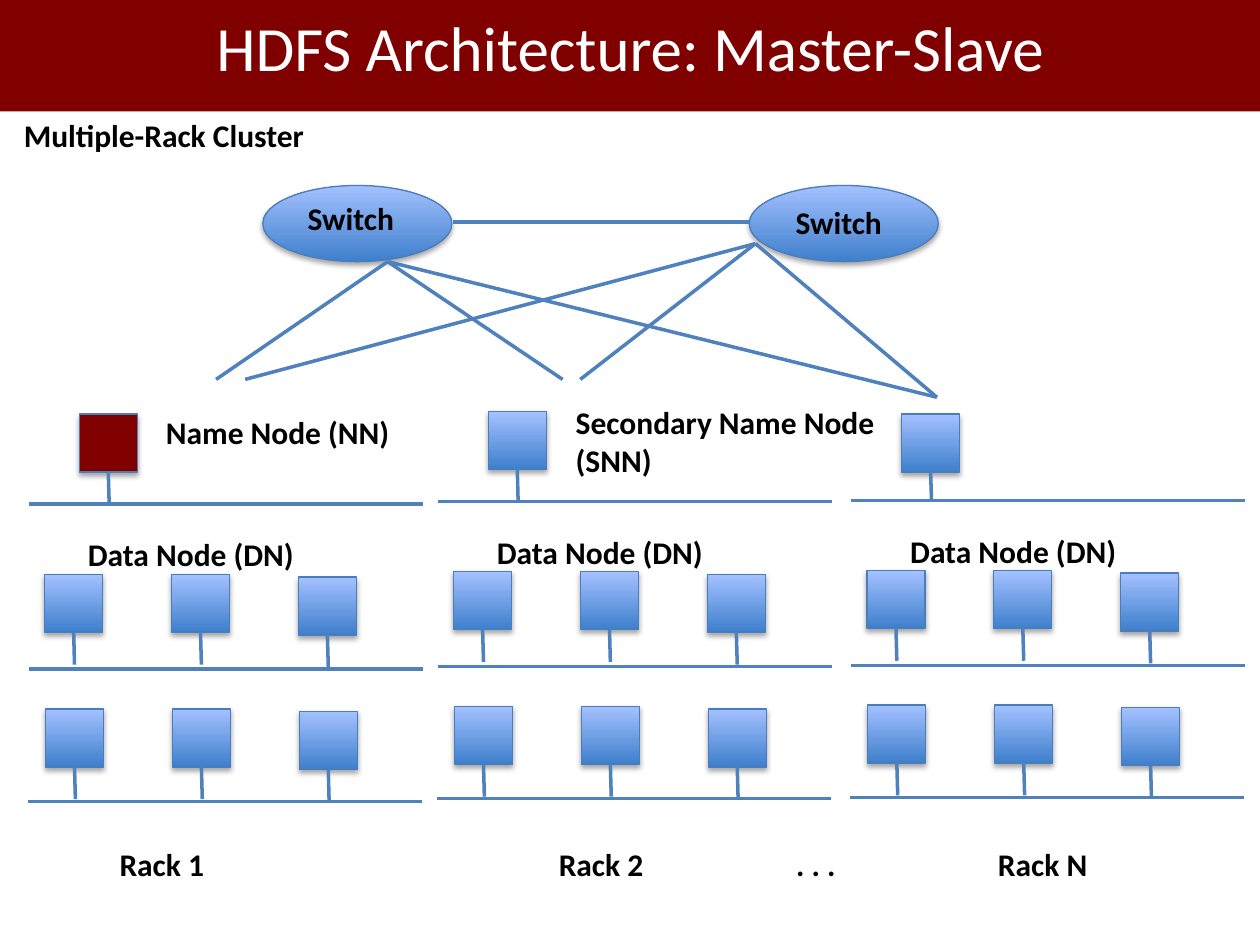
"""Build the slide on the master-slave architecture of HDFS."""
from dataclasses import dataclass

import pptx
import pptx.dml.color
import pptx.enum.shapes
import pptx.enum.text
import pptx.oxml
import pptx.util

Pt = pptx.util.Pt
SHAPES = pptx.enum.shapes.MSO_SHAPE
NODE_SIDE = 33.2
DRAWING = "http://schemas.openxmlformats.org/drawingml/2006/main"
SHADOW = (
    f'<a:outerShdw xmlns:a="{DRAWING}" blurRad="39370" dist="22860" dir="5400000" '
    'rotWithShape="0"><a:srgbClr val="000000"><a:alpha val="35000"/></a:srgbClr>'
    "</a:outerShdw>"
)


@dataclass(frozen=True)
class Theme:
    """Colours, font and sizes of the slide."""
    maroon: str = "800000"
    white: str = "FFFFFF"
    black: str = "000000"
    gradient: tuple = ("3E7FCC", "A4C1FF")
    outline: str = "4A7EBB"
    wire: str = "4F81BD"
    font: str = "Calibri"
    title_size: float = 36
    label_size: float = 18
    outline_width: float = 0.75
    wire_width: float = 2


@dataclass(frozen=True)
class Box:
    """A region in points."""
    left: float
    top: float
    width: float
    height: float

    def inner(self, left, top, width, height):
        """Return a box placed relative to this one."""
        return Box(self.left + left, self.top + top, width, height)

    def lengths(self):
        """Return the four lengths of the box."""
        return [Pt(value) for value in (self.left, self.top, self.width, self.height)]


THEME = Theme()


def rgb(value):
    """Turn a hex string into a colour."""
    return pptx.dml.color.RGBColor.from_string(value)


def write(shape, text, *, size=THEME.label_size, color=THEME.black, bold=True,
          align=None, anchor=pptx.enum.text.MSO_ANCHOR.TOP):
    """Put formatted text into a shape."""
    frame = shape.text_frame
    frame.word_wrap = True
    frame.vertical_anchor = anchor
    paragraph = frame.paragraphs[0]
    paragraph.alignment = align
    run = paragraph.add_run()
    run.text = text
    run.font.name = THEME.font
    run.font.size = Pt(size)
    run.font.bold = bold
    run.font.color.rgb = rgb(color)


def add_label(slide, box, text):
    """Add a bold label in a text box."""
    shape = slide.shapes.add_textbox(*box.lengths())
    write(shape, text)
    shape.text_frame.auto_size = pptx.enum.text.MSO_AUTO_SIZE.SHAPE_TO_FIT_TEXT


def add_device(slide, box, kind=SHAPES.RECTANGLE, solid=None):
    """Add a shadowed device with a solid or gradient fill."""
    shape = slide.shapes.add_shape(kind, *box.lengths())
    if solid:
        shape.fill.solid()
        shape.fill.fore_color.rgb = rgb(solid)
    else:
        shape.fill.gradient()
        shape.fill.gradient_angle = 90
        for stop, color in zip(shape.fill.gradient_stops, THEME.gradient):
            stop.color.rgb = rgb(color)
    shape.line.color.rgb = rgb(THEME.outline)
    shape.line.width = Pt(THEME.outline_width)
    shape.shadow.inherit = False
    effects = shape.element.spPr.find(f"{{{DRAWING}}}effectLst")
    effects.append(pptx.oxml.parse_xml(SHADOW))
    return shape


def add_wire(slide, start, end):
    """Add a straight wire between two points."""
    connector = slide.shapes.add_connector(
        pptx.enum.shapes.MSO_CONNECTOR.STRAIGHT, *[Pt(value) for value in (*start, *end)])
    connector.line.color.rgb = rgb(THEME.wire)
    connector.line.width = Pt(THEME.wire_width)
    connector.element.spPr.append(
        pptx.oxml.parse_xml(f'<a:effectLst xmlns:a="{DRAWING}"/>'))
    return connector


def add_node(slide, box, stem=18.4, solid=None):
    """Add a node with a stem hanging from its bottom side."""
    node = add_device(slide, box, solid=solid)
    center, bottom = box.left + box.width / 2, box.top + box.height
    wire = add_wire(slide, (center, bottom), (center + 0.5, bottom + stem))
    wire.begin_connect(node, 2)


def add_title(slide, box):
    """Add the title band."""
    band = slide.shapes.add_shape(SHAPES.RECTANGLE, *box.lengths())
    band.fill.solid()
    band.fill.fore_color.rgb = rgb(THEME.maroon)
    band.line.fill.background()
    band.shadow.inherit = False
    write(band, "HDFS Architecture: Master-Slave", size=THEME.title_size,
          color=THEME.white, bold=False, align=pptx.enum.text.PP_ALIGN.CENTER,
          anchor=pptx.enum.text.MSO_ANCHOR.MIDDLE)


def add_network(slide, box):
    """Add the two switches and the wires to the racks."""
    right_switch = box.width - 108
    for left in (0, right_switch):
        add_device(slide, box.inner(left, 0, 108, 43.5), SHAPES.OVAL)
    first, second = (71.3, 43.5), (281.5, 33.2)
    wires = (
        (first, (-26.7, 110.8)), (first, (171.3, 110.8)), (first, (385.2, 121)),
        (second, (-10.1, 110.8)), (second, (181.4, 110.8)), (second, (385.2, 121)),
        ((108.7, 20.9), (right_switch, 20.9)),
    )
    for wire in wires:
        add_wire(slide, *[(box.left + x, box.top + y) for x, y in wire])
    add_label(slide, box.inner(18.5, 4.3, 70, 29), "Switch")
    add_label(slide, box.inner(297.3, 6.6, 76, 29), "Switch")


def add_rack(slide, box, head_drop=0, head_color=None):
    """Add a rack: a head node above two rows of three data nodes."""
    rails = ((0, 51.5), (0, 145.8), (-0.6, 221.3))
    for left, top in rails:
        start = (box.left + left, box.top + top)
        add_wire(slide, start, (start[0] + box.width, start[1]))
    add_node(slide, box.inner(28.8, head_drop, NODE_SIDE, NODE_SIDE),
             stem=18.3 - head_drop, solid=head_color)
    for left, top in ((9, 91.6), (9.5, 168.5)):
        for column in range(3):
            drop = 1.5 if column == 2 else 0
            add_node(slide, box.inner(left + 72.5 * column, top + drop,
                                      NODE_SIDE, NODE_SIDE))
    add_label(slide, box.inner(26.6, 65.8, 151, 29), "Data Node (DN)")


def add_captions(slide, box):
    """Add the evenly spaced rack names and the ellipsis."""
    for index, name in enumerate(("Rack 1", "Rack 2", "Rack N")):
        add_label(slide, box.inner(251 * index, 0, 76, box.height), name)
    add_label(slide, box.inner(386.6, 0, 48, box.height), ". . .")


def main():
    """Build and save the presentation."""
    presentation = pptx.Presentation()
    presentation.slide_width, presentation.slide_height = Pt(720), Pt(540)
    slide = presentation.slides.add_slide(presentation.slide_layouts[6])
    add_title(slide, Box(0, -10.4, 720.5, 74))
    add_label(slide, Box(6.5, 62.8, 182, 29), "Multiple-Rack Cluster")
    add_network(slide, Box(150.2, 106, 386, 43.5))
    name_rack = Box(16.5, 236.6, 225, 222)
    secondary_rack = Box(250.2, 235.1, 225, 222)
    add_rack(slide, name_rack, head_color=THEME.maroon)
    add_rack(slide, secondary_rack)
    add_rack(slide, Box(486.4, 234.4, 225, 222), head_drop=2.2)
    add_label(slide, name_rack.inner(71.2, -4, 151, 29), "Name Node (NN)")
    add_label(slide, secondary_rack.inner(71.7, -8.3, 231, 51),
              "Secondary Name Node (SNN)")
    add_captions(slide, Box(61.2, 479.5, 578, 29))
    presentation.save("out.pptx")


if __name__ == "__main__":
    main()
